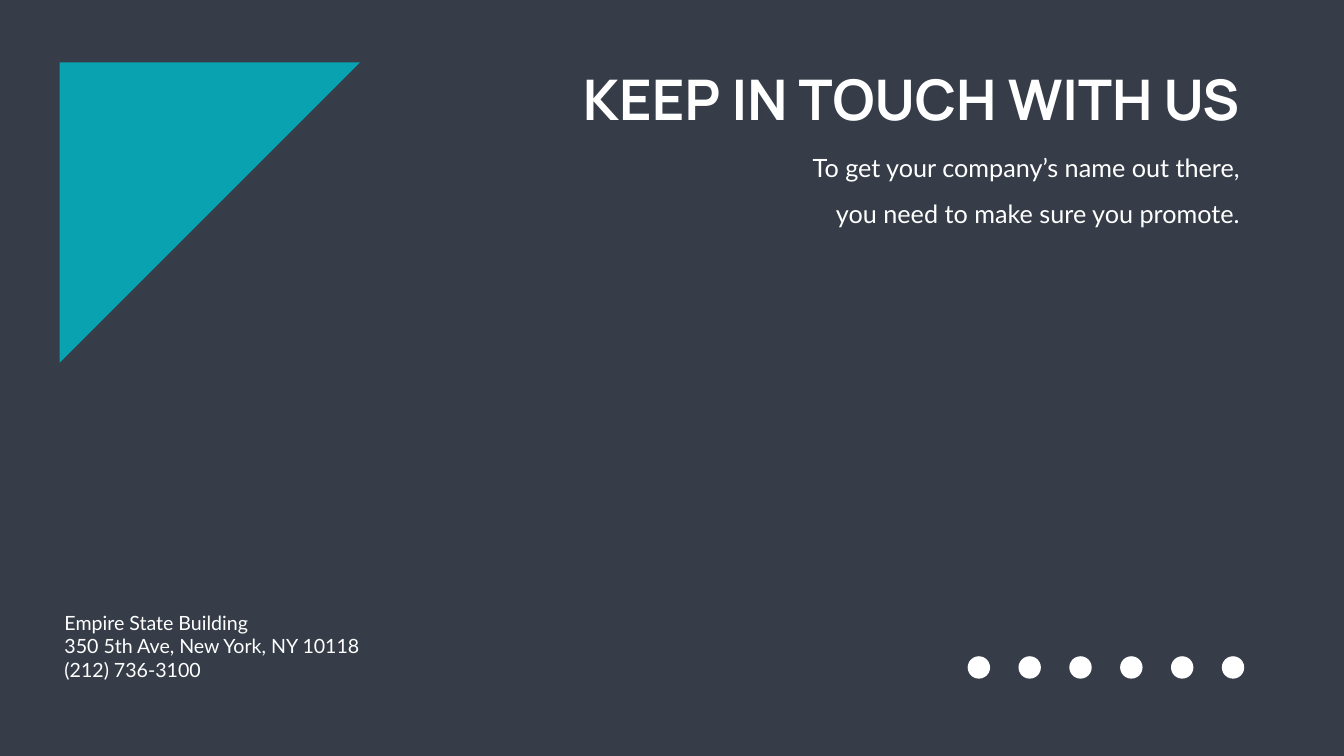
from pptx import Presentation
from pptx.dml.color import RGBColor
from pptx.enum.shapes import MSO_SHAPE
from pptx.enum.text import MSO_AUTO_SIZE, PP_ALIGN
from pptx.util import Pt

LEFT, RIGHT = PP_ALIGN.LEFT, PP_ALIGN.RIGHT
OVAL, CORNER = MSO_SHAPE.OVAL, MSO_SHAPE.RIGHT_TRIANGLE
GROW = MSO_AUTO_SIZE.SHAPE_TO_FIT_TEXT
DARK, TEAL, WHITE = "363D48", "09A2B1", "FFFFFF"
HEAD, BODY = "Manrope", "Lato"


def tint(fill, color):
    fill.solid()
    fill.fore_color.rgb = RGBColor.from_string(color)


class Page:
    def __init__(self, deck):
        self.slide = deck.slides.add_slide(deck.slide_layouts[6])
        tint(self.slide.background.fill, DARK)

    def shape(self, kind, box, color, turn=0):
        item = self.slide.shapes.add_shape(kind, *map(Pt, box))
        item.shadow.inherit = False
        item.rotation = turn
        tint(item.fill, color)
        item.line.fill.background()

    def text(self, box, words, size, font=BODY, bold=False,
             align=LEFT, space=1.0, wrap=True):
        frame = self.slide.shapes.add_textbox(*map(Pt, box)).text_frame
        frame.word_wrap = wrap
        frame.auto_size = GROW
        frame.text = words
        for para in frame.paragraphs:
            para.alignment = align
            para.line_spacing = space
            for run in para.runs:
                run.font.name = font
                run.font.size = Pt(size)
                run.font.bold = bold
                tint(run.font.fill, WHITE)


def main():
    deck = Presentation()
    deck.slide_width, deck.slide_height = Pt(1919.52), Pt(1080)
    page = Page(deck)

    page.text((472.3, 89.3, 1305.4, 104.4), "KEEP IN TOUCH WITH US",
              80, HEAD, bold=True, align=RIGHT)
    page.text((1126.1, 193, 651.6, 129.6),
              "To get your company’s name out there, "
              "you need to make sure you promote.",
              36, align=RIGHT, space=1.5)
    page.shape(CORNER, (85, 89.3, 429, 429), TEAL, turn=90)

    dot, step = 32, 72.6
    for spot in range(6):
        page.shape(OVAL, (1382 + spot * step, 937.5, dot, dot), WHITE)

    page.text((85, 869, 458, 108.7),
              "Empire State Building\n"
              "350 5th Ave, New York, NY 10118\n"
              "(212) 736-3100", 28, wrap=False)
    deck.save("out.pptx")


if __name__ == "__main__":
    main()
